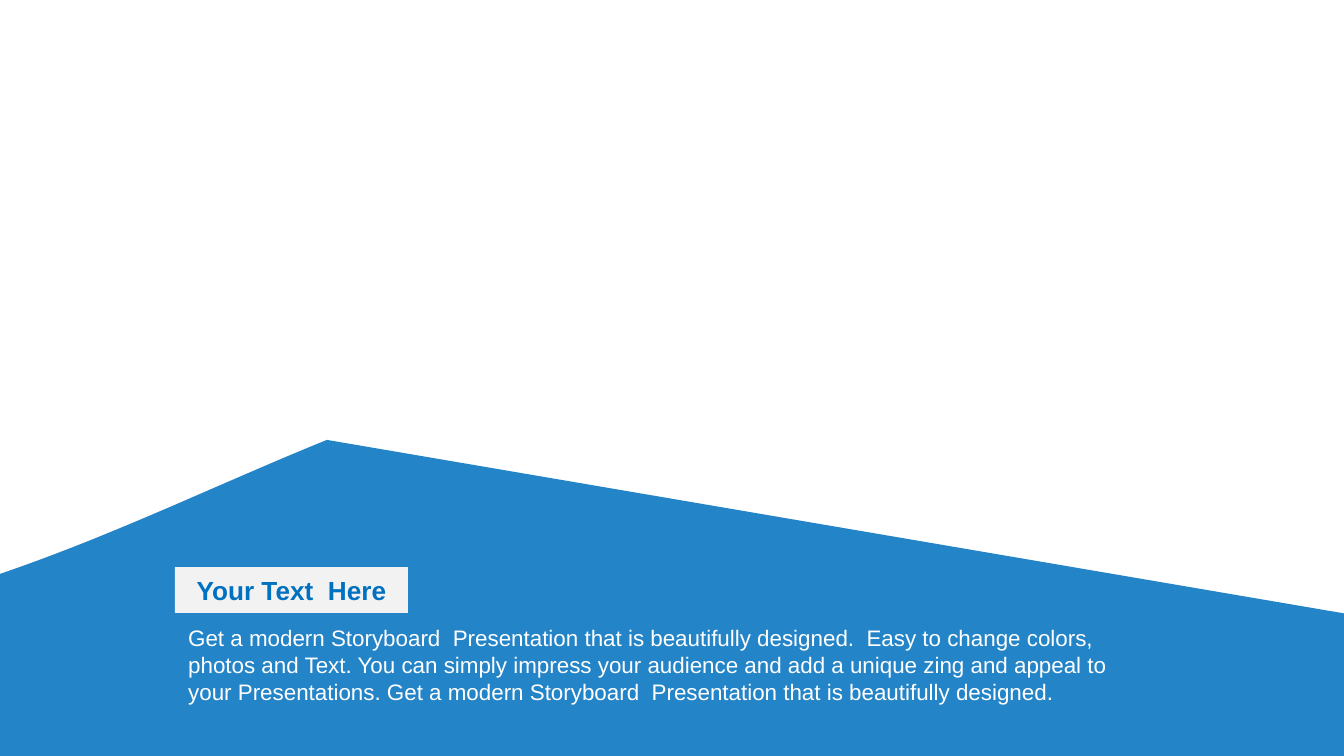
from lxml import etree
from pptx import Presentation
from pptx.dml.color import RGBColor
from pptx.enum.text import MSO_ANCHOR, PP_ALIGN
from pptx.enum.shapes import MSO_SHAPE
from pptx.oxml.ns import qn
from pptx.util import Pt

RECTANGLE = MSO_SHAPE.RECTANGLE
LEFT, CENTER = PP_ALIGN.LEFT, PP_ALIGN.CENTER
TOP, MIDDLE = MSO_ANCHOR.TOP, MSO_ANCHOR.MIDDLE
BLUE = RGBColor(0x00, 0x70, 0xC0)
LIGHT_GRAY = RGBColor(0xF2, 0xF2, 0xF2)
WHITE = RGBColor(0xFF, 0xFF, 0xFF)

# Content
TITLE = "Your Text  Here"
SENTENCE = "Get a modern Storyboard  Presentation that is beautifully designed."
BODY = (
    f"{SENTENCE}  Easy to change colors, photos and Text. "
    "You can simply impress your audience and add a unique zing "
    f"and appeal to your Presentations. {SENTENCE}"
)

# Layout in px
SCALE = 914400 / 134.4
SLIDE_SIZE = (1344, 756)
TITLE_BOX = (175, 567, 233, 46)
BODY_BOX = (175, 618, 964, 95)
HILL_RIGHT = (1347, 614)
HILL_SLOPE = [(327, 440), (216, 485), (117, 534), (0, 574)]
HILL_BASE = [(0, 756), (1344, 756)]
HILL_OPACITY = 86
CURVE_STEPS = 24


def px(*lengths):
    return [round(length * SCALE) for length in lengths]


def bezier_point(controls, t):
    weights = ((1 - t) ** 3, 3 * t * (1 - t) ** 2, 3 * t * t * (1 - t), t ** 3)
    return tuple(sum(w * point[axis] for w, point in zip(weights, controls)) for axis in (0, 1))


def write_text(shape, text, *, size, color, bold=False, align=LEFT, anchor=TOP):
    frame = shape.text_frame
    frame.word_wrap = True
    frame.vertical_anchor = anchor
    paragraph = frame.paragraphs[0]
    paragraph.text = text
    paragraph.alignment = align
    font = paragraph.runs[0].font
    font.name = "Arial"
    font.size = Pt(size)
    font.bold = bold
    font.color.rgb = color


def paint(shape, color, opacity=100):
    shape.shadow.inherit = False
    shape.line.fill.background()
    shape.fill.solid()
    shape.fill.fore_color.rgb = color
    if opacity < 100:
        color_element = shape.fill._xPr.find(qn("a:solidFill"))[0]
        etree.SubElement(color_element, qn("a:alpha")).set("val", str(opacity * 1000))


presentation = Presentation()
presentation.slide_width, presentation.slide_height = px(*SLIDE_SIZE)
slide = presentation.slides.add_slide(presentation.slide_layouts[6])
shapes = slide.shapes

# Blue hill with a curved left slope
slope = [bezier_point(HILL_SLOPE, step / CURVE_STEPS) for step in range(CURVE_STEPS + 1)]
builder = shapes.build_freeform(*px(*HILL_RIGHT))
builder.add_line_segments([px(*point) for point in slope + HILL_BASE], close=True)
paint(builder.convert_to_shape(), BLUE, HILL_OPACITY)

# Body text
body = shapes.add_textbox(*px(*BODY_BOX))
write_text(body, BODY, size=12, color=WHITE)

# Title label
label = shapes.add_shape(RECTANGLE, *px(*TITLE_BOX))
paint(label, LIGHT_GRAY)
write_text(label, TITLE, size=14, color=BLUE, bold=True, align=CENTER, anchor=MIDDLE)

presentation.save("out.pptx")
